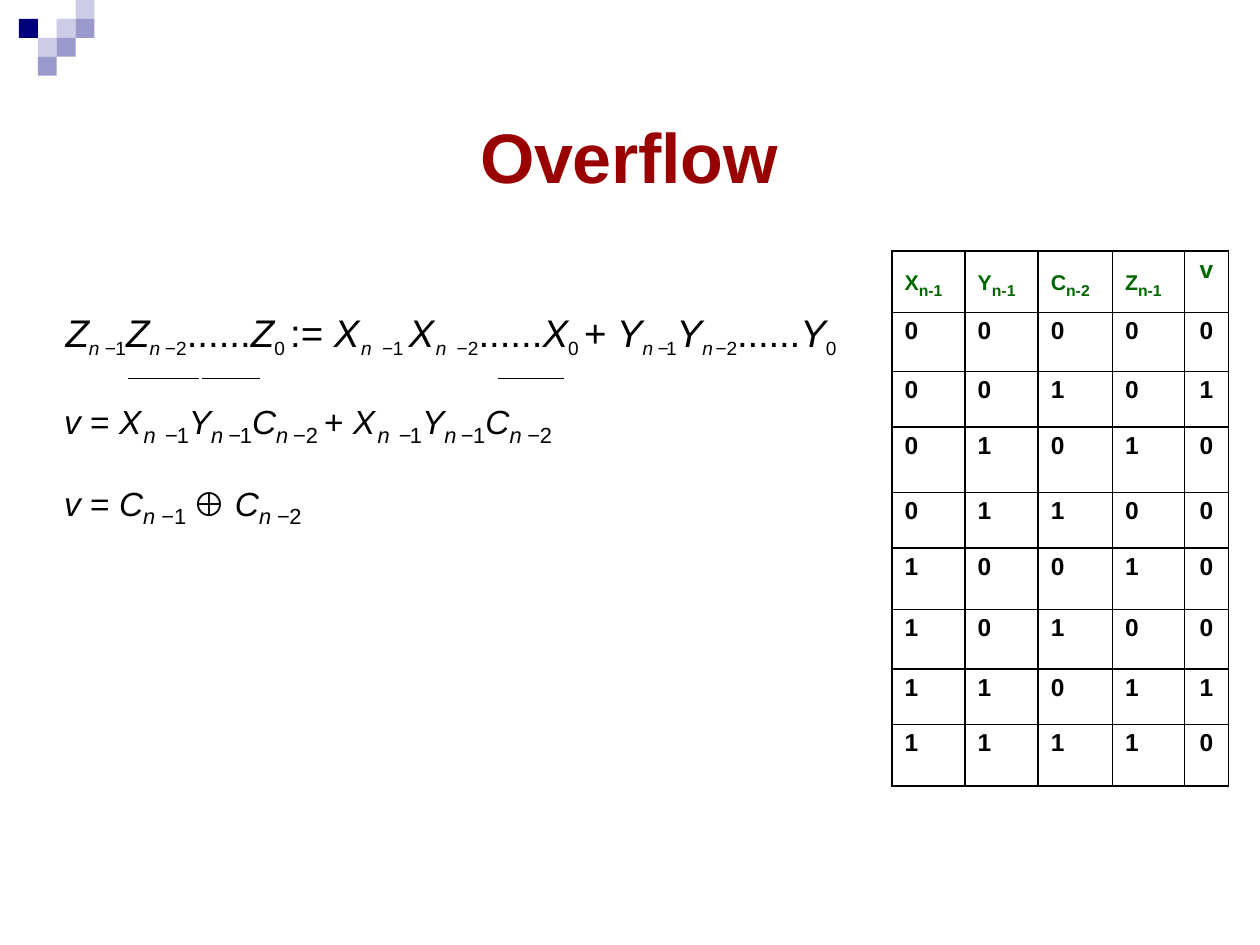
from typing import NamedTuple

from lxml import etree
from pptx import Presentation
from pptx.dml.color import RGBColor
from pptx.enum.shapes import MSO_CONNECTOR, MSO_SHAPE
from pptx.enum.text import MSO_ANCHOR, PP_ALIGN
from pptx.oxml.ns import qn
from pptx.util import Inches, Pt

RECTANGLE = MSO_SHAPE.RECTANGLE
STRAIGHT = MSO_CONNECTOR.STRAIGHT
TOP = MSO_ANCHOR.TOP
LEFT, CENTER = PP_ALIGN.LEFT, PP_ALIGN.CENTER
FONT = "Arial"
COLORS = {
    "title": "990000",
    "header": "006600",
    "text": "000000",
    "navy": "00007D",
    "medium": "9999CC",
    "pale": "CCCCE6",
}


class Square(NamedTuple):
    column: int
    row: int
    color: str


class Overline(NamedTuple):
    start: float
    end: float


class Term(NamedTuple):
    text: str
    spacing: float = 0


class Level(NamedTuple):
    size: float
    baseline: int


class Formula(NamedTuple):
    indent: float
    space_before: float
    symbol: Level
    index: Level
    terms: list[Term]


SQUARE_SIDE = 0.15
SQUARES = [
    Square(4, 0, "pale"),
    Square(3, 1, "pale"),
    Square(4, 1, "medium"),
    Square(1, 1, "navy"),
    Square(2, 2, "pale"),
    Square(3, 2, "medium"),
    Square(2, 3, "medium"),
]
OVERLINES = [Overline(1.02, 1.58), Overline(1.6, 2.06), Overline(3.95, 4.48)]

SUM_SYMBOL, SUM_INDEX = Level(22, 0), Level(18.8, -24)
FLAG_SYMBOL, FLAG_INDEX = Level(33, 14), Level(12.5, 0)
FORMULAS = [
    Formula(0.07, 16, SUM_SYMBOL, SUM_INDEX, [
        Term("Z"), Term("n "), Term("−1", -0.3),
        Term("Z", -0.2), Term("n ", -0.3), Term("−2"),
        Term("......"), Term("Z"), Term("0 "), Term(":= "),
        Term("X", 0.9), Term("n ", 1.4), Term("−1 ", -0.1),
        Term("X", 0.9), Term("n ", 1.4), Term("−2"),
        Term("......"), Term("X"), Term("0 "), Term("+ ", -0.2),
        Term("Y", -0.3), Term("n ", -0.5), Term("−1", -1.5),
        Term("Y", -1), Term("n ", -1.5), Term("−2", -0.1),
        Term("......", -0.1), Term("Y", -0.1), Term("0", -0.1),
    ]),
    Formula(0.06, 15.1, FLAG_SYMBOL, FLAG_INDEX, [
        Term("v "), Term("= "),
        Term("X", 1.4), Term("n ", 0.9), Term("−1", -0.6),
        Term("Y", -0.8), Term("n ", -0.6), Term("−1", -0.7),
        Term("C", -1), Term("n ", -0.7), Term("−2 "), Term("+ "),
        Term("X", 1.4), Term("n ", 0.9), Term("−1", -1),
        Term("Y", -1.5), Term("n ", -1), Term("−1", -0.2),
        Term("C", -0.3), Term("n ", -0.2), Term("−2", -0.2),
    ]),
    Formula(0.06, 7.2, FLAG_SYMBOL, FLAG_INDEX, [
        Term("v "), Term("= "), Term("C"), Term("n "), Term("−1 "),
        Term("⊕ "), Term("C"), Term("n "), Term("−2", -0.3),
    ]),
]

HEADERS = ["X1", "Y1", "C2", "Z1"]
TRUTH_ROWS = ["00000", "00101", "01010", "01100", "10010", "10100", "11011", "11110"]
COLUMN_WIDTHS = [0.58, 0.58, 0.59, 0.57, 0.35]
ROW_HEIGHTS = [0.49, 0.47, 0.44, 0.52, 0.44, 0.49, 0.47, 0.44, 0.49]


def write_text(paragraph, text: str, *, size: float, color: str = "text", bold: bool = False,
               italic: bool = False, spacing: float = 0, baseline: int = 0) -> None:
    run = paragraph.add_run()
    run.text = text
    font = run.font
    font.name = FONT
    font.size = Pt(size)
    font.bold = bold
    font.italic = italic
    font.color.rgb = RGBColor.from_string(COLORS[color])
    properties = run._r.get_or_add_rPr()
    if spacing:
        properties.set("spc", str(round(spacing * 100)))
    if baseline:
        properties.set("baseline", str(baseline * 1000))


def format_paragraph(paragraph, indent: float, space_before: float, alignment=LEFT) -> None:
    paragraph.alignment = alignment
    paragraph.space_before = Pt(space_before)
    properties = paragraph._p.get_or_add_pPr()
    properties.set("marL", str(Inches(indent)))
    properties.set("indent", "0")


def add_text_frame(slide, left: float, top: float, width: float, height: float, inset: float):
    shape = slide.shapes.add_textbox(Inches(left), Inches(top), Inches(width), Inches(height))
    frame = shape.text_frame
    frame.word_wrap = True
    frame.vertical_anchor = TOP
    frame.margin_left = frame.margin_right = frame.margin_bottom = 0
    frame.margin_top = Inches(inset)
    return frame


def draw_square(slide, square: Square) -> None:
    side = Inches(SQUARE_SIDE)
    shape = slide.shapes.add_shape(RECTANGLE, side * square.column, side * square.row, side, side)
    shape.shadow.inherit = False
    shape.fill.solid()
    shape.fill.fore_color.rgb = RGBColor.from_string(COLORS[square.color])
    shape.line.fill.background()


def draw_overline(slide, overline: Overline) -> None:
    connector = slide.shapes.add_connector(
        STRAIGHT, Inches(overline.start), Inches(3), Inches(overline.end), Inches(3))
    connector.line.width = Pt(0.46)
    connector.line.color.rgb = RGBColor.from_string(COLORS["text"])
    etree.SubElement(connector._element.spPr, qn("a:effectLst"))


def write_formula(paragraph, formula: Formula) -> None:
    format_paragraph(paragraph, formula.indent, formula.space_before)
    for term in formula.terms:
        level = formula.index if term.text[0] in "n−0" else formula.symbol
        write_text(paragraph, term.text, size=level.size, baseline=level.baseline,
                   spacing=term.spacing, italic=term.text.strip().isalpha())


def format_cell(cell, inset: float) -> None:
    cell.margin_left = cell.margin_right = cell.margin_bottom = 0
    cell.margin_top = Inches(inset)
    cell.vertical_anchor = TOP
    properties = cell._tc.get_or_add_tcPr()
    for side in ("lnL", "lnR", "lnT", "lnB"):
        border = etree.SubElement(properties, qn(f"a:{side}"), w=str(Pt(1)))
        fill = etree.SubElement(border, qn("a:solidFill"))
        etree.SubElement(fill, qn("a:srgbClr"), val=COLORS["text"])
    cell.fill.background()


def draw_truth_table(slide) -> None:
    table = slide.shapes.add_table(
        len(ROW_HEIGHTS), len(COLUMN_WIDTHS), Inches(7.08), Inches(1.99),
        Inches(sum(COLUMN_WIDTHS)), Inches(sum(ROW_HEIGHTS))).table
    table.first_row = table.horz_banding = False
    for column, width in zip(table.columns, COLUMN_WIDTHS):
        column.width = Inches(width)
    for row, height in zip(table.rows, ROW_HEIGHTS):
        row.height = Inches(height)
    for column, (letter, number) in enumerate(HEADERS):
        cell = table.cell(0, column)
        format_cell(cell, 0.1)
        paragraph = cell.text_frame.paragraphs[0]
        format_paragraph(paragraph, 0.1, 7.2)
        write_text(paragraph, letter, size=21, color="header", bold=True, baseline=16)
        write_text(paragraph, "n-", size=9, color="header", bold=True)
        write_text(paragraph, number, size=9, color="header", bold=True, spacing=-0.5)
    last = len(COLUMN_WIDTHS) - 1
    entries = [(0, last, "v", "header")]
    entries += [(row, column, digit, "text")
                for row, digits in enumerate(TRUTH_ROWS, 1)
                for column, digit in enumerate(digits)]
    for row, column, text, color in entries:
        cell = table.cell(row, column)
        format_cell(cell, 0.04)
        paragraph = cell.text_frame.paragraphs[0]
        centered = column == last
        format_paragraph(paragraph, 0 if centered else 0.1, 3.1, CENTER if centered else LEFT)
        write_text(paragraph, text, size=14, color=color, bold=True, spacing=-0.5)


def main() -> None:
    presentation = Presentation()
    presentation.slide_width, presentation.slide_height = Inches(10), Inches(7.5)
    slide = presentation.slides.add_slide(presentation.slide_layouts[6])
    for square in SQUARES:
        draw_square(slide, square)
    title = add_text_frame(slide, 0.31, 0.47, 9.42, 1.44, 0.43).paragraphs[0]
    format_paragraph(title, 3.5, 0.9)
    write_text(title, "Overflow", size=40, color="title", bold=True, spacing=-0.1)
    draw_truth_table(slide)
    for overline in OVERLINES:
        draw_overline(slide, overline)
    frame = add_text_frame(slide, 0.45, 2.23, 6.41, 1.65, 0.22)
    for position, formula in enumerate(FORMULAS):
        write_formula(frame.add_paragraph() if position else frame.paragraphs[0], formula)
    presentation.save("out.pptx")


if __name__ == "__main__":
    main()
